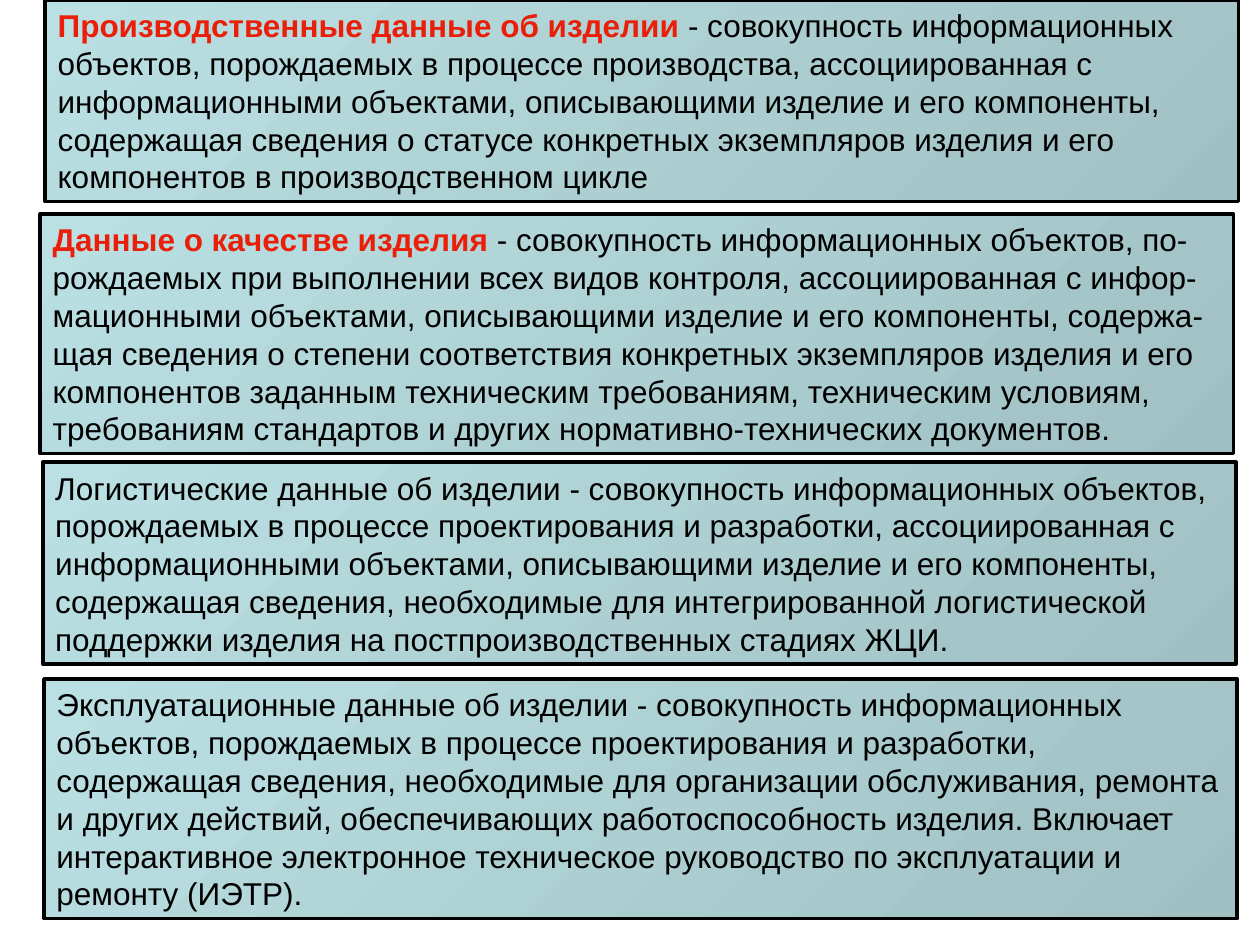
from pptx import Presentation
from pptx.dml.color import RGBColor
from pptx.enum.shapes import MSO_SHAPE
from pptx.enum.text import MSO_ANCHOR, MSO_AUTO_SIZE, PP_ALIGN
from pptx.util import Inches, Pt

RECT = MSO_SHAPE.RECTANGLE
TOP = MSO_ANCHOR.TOP
GROW = MSO_AUTO_SIZE.SHAPE_TO_FIT_TEXT
LEFT = PP_ALIGN.LEFT
BLACK, RED = "000000", "EA1F0A"
SHADES = ["A0C0C3", "BBE0E3"]
WIDTH = 9.47


def color(code):
    return RGBColor.from_string(code)


# Left, top, height, text runs with their colours; back to front
cards = [
    (0.35, 5.39, 1.9, [
        ("Эксплуатационные данные об изделии - совокупность информационных "
         "объектов, порождаемых в процессе проектирования и разработки, "
         "содержащая сведения, необходимые для организации обслуживания, "
         "ремонта и других действий, обеспечивающих работоспособность "
         "изделия. Включает интерактивное электронное техническое "
         "руководство по эксплуатации и ремонту (ИЭТР).", BLACK)]),
    (0.34, 3.67, 1.6, [
        ("Логистические данные об изделии - совокупность информационных "
         "объектов, порождаемых в процессе проектирования и разработки, "
         "ассоциированная с информационными объектами, описывающими изделие "
         "и его компоненты, содержащая сведения, необходимые для "
         "интегрированной логистической поддержки изделия на "
         "постпроизводственных стадиях ЖЦИ.", BLACK)]),
    (0.32, 1.7, 1.9, [
        ("Данные о качестве изделия", RED),
        (" - совокупность информационных объектов, по-рождаемых при "
         "выполнении всех видов контроля, ассоциированная с "
         "инфор-мационными объектами, описывающими изделие и его "
         "компоненты, содержа-щая сведения о степени соответствия "
         "конкретных экземпляров изделия и его компонентов заданным "
         "техническим требованиям, техническим условиям, требованиям "
         "стандартов и других нормативно-технических документов.", BLACK)]),
    (0.36, 0, 1.6, [
        ("Производственные данные об изделии", RED),
        (" - совокупность информационных объектов, порождаемых в процессе "
         "производства, ассоциированная с информационными объектами, "
         "описывающими изделие и его компоненты, содержащая сведения о "
         "статусе конкретных экземпляров изделия и его компонентов в "
         "производственном цикле", BLACK)]),
]

deck = Presentation()
deck.slide_width, deck.slide_height = Inches(10), Inches(7.5)
slide = deck.slides.add_slide(deck.slide_layouts[6])

for left, top, height, runs in cards:
    card = slide.shapes.add_shape(
        RECT, Inches(left), Inches(top), Inches(WIDTH), Inches(height))
    card.shadow.inherit = False
    card.fill.gradient()
    card.fill.gradient_angle = 135
    for place, (stop, shade) in enumerate(zip(card.fill.gradient_stops, SHADES)):
        stop.position = place
        stop.color.rgb = color(shade)
    card.line.color.rgb = color(BLACK)
    card.line.width = Pt(2.25)

    frame = card.text_frame
    frame.word_wrap = True
    frame.auto_size = GROW
    frame.vertical_anchor = TOP
    para = frame.paragraphs[0]
    para.alignment = LEFT
    for text, ink in runs:
        run = para.add_run()
        run.text = text
        run.font.name = "Arial"
        run.font.size = Pt(18)
        run.font.bold = ink == RED
        run.font.color.rgb = color(ink)

deck.save("out.pptx")
